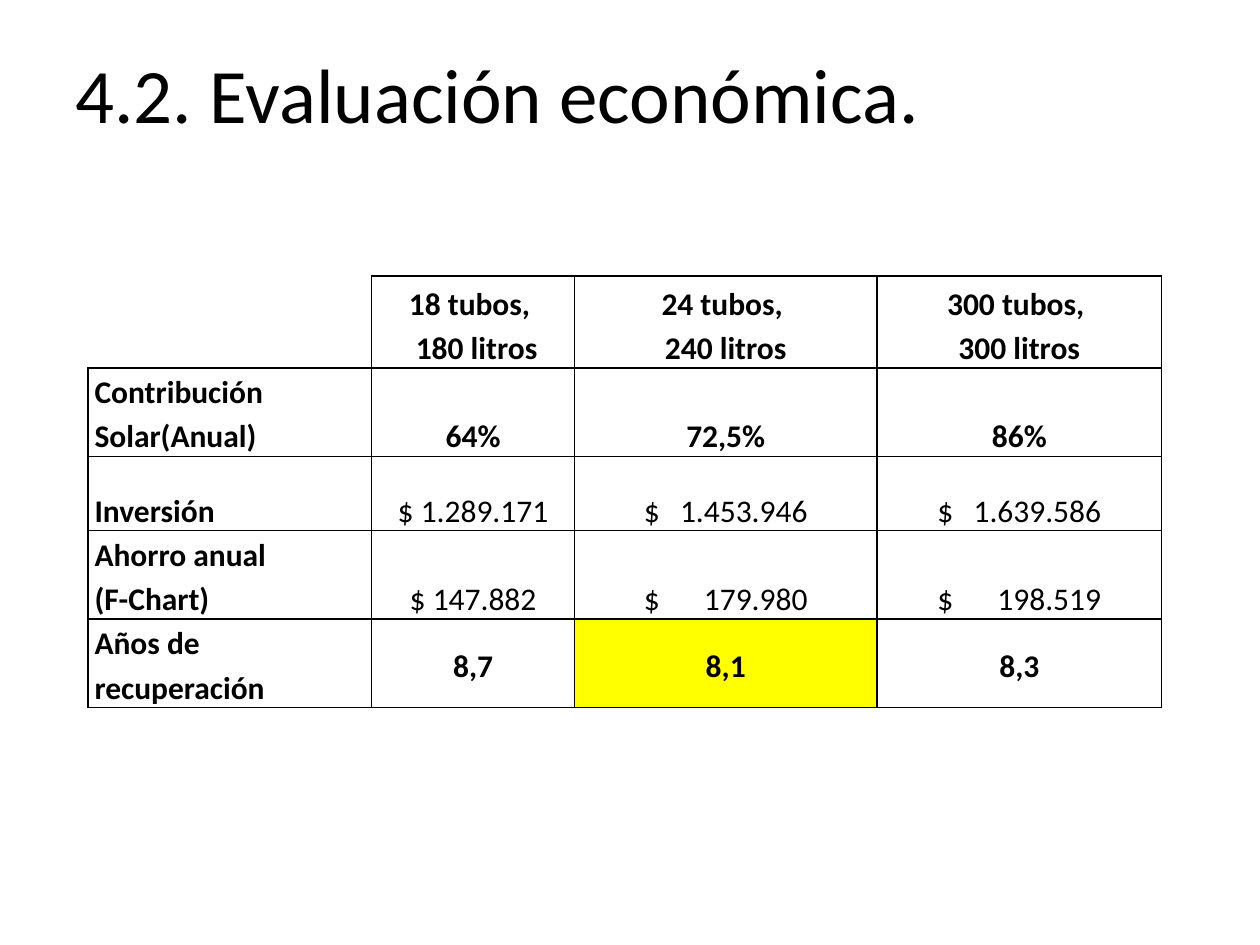
import pptx
import pptx.util
import pptx.dml.color
import pptx.enum.text
import pptx.oxml
import pptx.oxml.ns
import lxml.etree

Inches = pptx.util.Inches
Align = pptx.enum.text.PP_ALIGN
Anchor = pptx.enum.text.MSO_ANCHOR
INK = "000000"
HIGHLIGHT = "FFFF00"
COLUMNS = (2.25, 1.61, 2.4, 2.26)
ROWS = (0.73, 0.53, 0.59, 0.6, 0.52)
INSET = 0.05
AMOUNT_REACH = 0.65
MONEY_ROWS = (2, 3)
BEST_CELL = (4, 2)
VALUES = (
    ("", "18 tubos, \n 180 litros", "24 tubos, \n240 litros", "300 tubos, \n300 litros"),
    ("Contribución Solar(Anual)", "64%", "72,5%", "86%"),
    ("Inversión", "$ 1.289.171", "\t$\t1.453.946", "\t$\t1.639.586"),
    ("Ahorro anual\n(F-Chart)", "$ 147.882", "\t$\t179.980", "\t$\t198.519"),
    ("Años de recuperación", "8,7", "8,1", "8,3"),
)


def colour(value):
    return pptx.dml.color.RGBColor.from_string(value)


def add_child(parent, tag, **attributes):
    return lxml.etree.SubElement(parent, pptx.oxml.ns.qn(tag), attributes)


def style_font(font, size, bold):
    font.name = "Calibri"
    font.size = pptx.util.Pt(size)
    font.bold = bold
    font.color.rgb = colour(INK)


def set_borders(cell, visible_sides):
    properties = cell._tc.get_or_add_tcPr()
    for side in "LRTB":
        line = add_child(properties, f"a:ln{side}", w=str(pptx.util.Pt(1)))
        if side in visible_sides:
            fill = add_child(line, "a:solidFill")
            add_child(fill, "a:srgbClr", val=INK)
        else:
            add_child(line, "a:noFill")


def align_amount(para, width):
    para.alignment = Align.LEFT
    centre = width / 2 - INSET
    stops = add_child(para._p.get_or_add_pPr(), "a:tabLst")
    for offset, side in ((-AMOUNT_REACH, "l"), (AMOUNT_REACH, "r")):
        add_child(stops, "a:tab", pos=str(Inches(centre + offset)), algn=side)


def fill_cell(cell, text, row, column):
    set_borders(cell, "LRTB" if row or column else "RB")
    if (row, column) == BEST_CELL:
        cell.fill.solid()
        cell.fill.fore_color.rgb = colour(HIGHLIGHT)
    else:
        cell.fill.background()
    cell.margin_left = cell.margin_right = Inches(INSET)
    cell.margin_top = cell.margin_bottom = 0
    last_row = row == len(ROWS) - 1
    cell.vertical_anchor = Anchor.MIDDLE if last_row and column else Anchor.BOTTOM
    cell.text = text
    for para in cell.text_frame.paragraphs:
        para.line_spacing = 1.15
        para.alignment = Align.CENTER if column else Align.LEFT
        if "\t" in text:
            align_amount(para, COLUMNS[column])
        style_font(para.font, 18, not (column and row in MONEY_ROWS))


def add_title(page, box, text):
    title = page.shapes.title
    title.left, title.top, title.width, title.height = map(Inches, box)
    title.text_frame.text = text
    title.text_frame.vertical_anchor = Anchor.MIDDLE
    para = title.text_frame.paragraphs[0]
    para.alignment = Align.LEFT
    style_font(para.font, 44, False)


def add_evaluation_table(page, left, top):
    frame = page.shapes.add_table(
        len(ROWS), len(COLUMNS), Inches(left), Inches(top),
        Inches(sum(COLUMNS)), Inches(sum(ROWS)))
    table = frame.table
    table.first_row = table.horz_banding = False
    for column, width in zip(table.columns, COLUMNS):
        column.width = Inches(width)
    for row, height in zip(table.rows, ROWS):
        row.height = Inches(height)
    for row, texts in enumerate(VALUES):
        for column, text in enumerate(texts):
            fill_cell(table.cell(row, column), text, row, column)


def main():
    deck = pptx.Presentation()
    deck.slide_width, deck.slide_height = Inches(10), Inches(7.5)
    page = deck.slides.add_slide(deck.slide_layouts[5])
    add_title(page, (0.5, 0.3, 9, 0.87), "4.2. Evaluación económica.")
    add_evaluation_table(page, 0.7, 2.19)
    deck.save("out.pptx")


if __name__ == "__main__":
    main()
